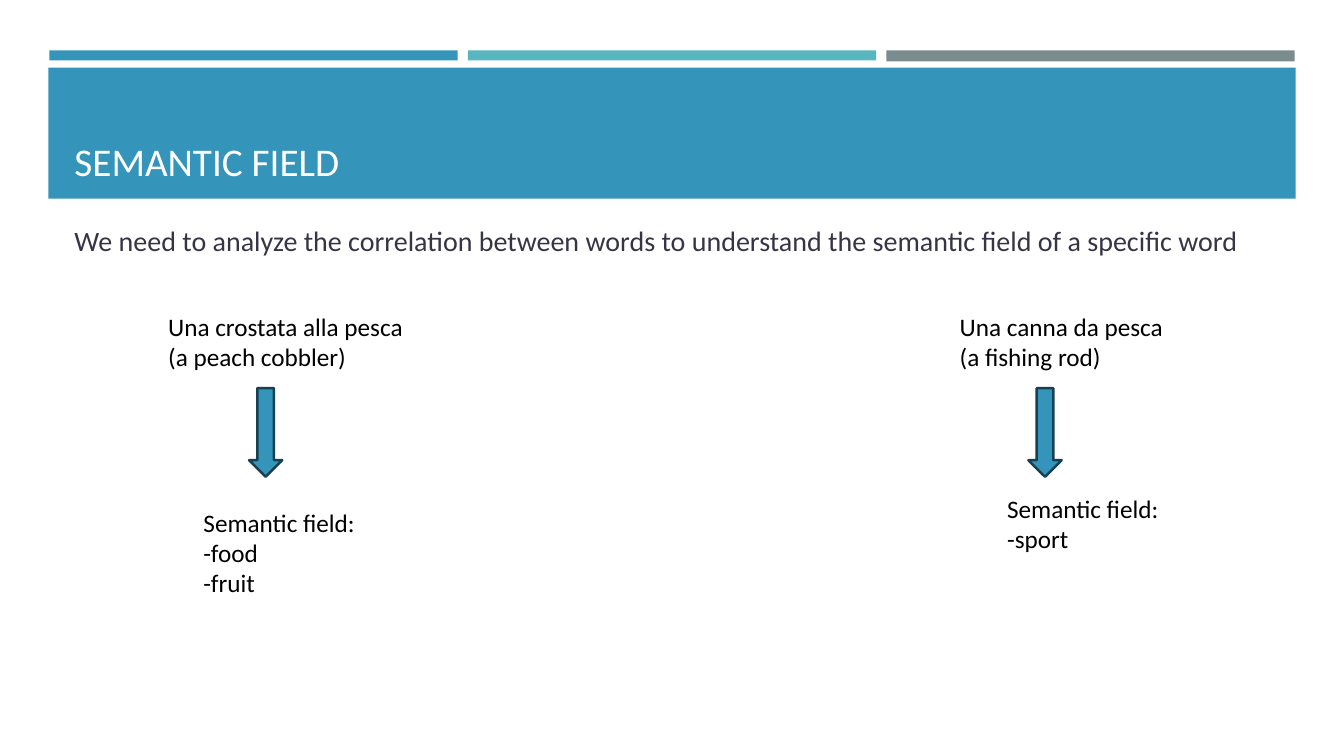
from pptx import Presentation
from pptx.dml.color import RGBColor
from pptx.enum.shapes import MSO_SHAPE
from pptx.enum.text import MSO_ANCHOR
from pptx.util import Inches, Pt

RECTANGLE, DOWN_ARROW = MSO_SHAPE.RECTANGLE, MSO_SHAPE.DOWN_ARROW
TOP, MIDDLE, BOTTOM = MSO_ANCHOR.TOP, MSO_ANCHOR.MIDDLE, MSO_ANCHOR.BOTTOM

BLUE = RGBColor(0x34, 0x94, 0xBA)
TEAL = RGBColor(0x58, 0xB6, 0xC0)
GRAY = RGBColor(0x7A, 0x8C, 0x8E)
NAVY = RGBColor(0x17, 0x41, 0x52)
INK = RGBColor(0x37, 0x35, 0x45)
BLACK = RGBColor(0, 0, 0)
WHITE = RGBColor(0xFF, 0xFF, 0xFF)
FONT = "Calibri"

# Content; areas are left, top, width, height in inches
TITLE = "SEMANTIC FIELD"
STATEMENT = ("We need to analyze the correlation between words "
             "to understand the semantic field of a specific word")
EXAMPLES = [
    {"phrase": ["Una crostata alla pesca", "(a peach cobbler)"],
     "phrase_area": (1.57, 3.04, 5.1, 0.71),
     "arrow_left": 2.47,
     "field": ["Semantic field:", "-food", "-fruit"],
     "field_area": (1.92, 4.98, 3.1, 1.01)},
    {"phrase": ["Una canna da pesca", "(a fishing rod)"],
     "phrase_area": (9.42, 3.04, 2.97, 0.71),
     "arrow_left": 10.2,
     "field": ["Semantic field:", "-sport"],
     "field_area": (9.89, 4.84, 3.1, 0.71)},
]
STRIPES = [(BLUE, 0.1), (TEAL, 0.1), (GRAY, 0.11)]  # colour, height
STRIPE_LEFT, STRIPE_TOP, STRIPE_WIDTH, STRIPE_GAP = 0.49, 0.5, 4.05, 0.1
BANNER_AREA = (0.48, 0.67, 12.37, 1.3)
ARROW_TOP, ARROW_WIDTH, ARROW_HEIGHT = 3.85, 0.33, 0.88

deck = Presentation()
deck.slide_width, deck.slide_height = Inches(13.33), Inches(7.5)
page = deck.slides.add_slide(deck.slide_layouts[6])


def add_filled(kind, area, fill, outline=None):
    shape = page.shapes.add_shape(kind, *map(Inches, area))
    shape.shadow.inherit = False
    shape.fill.solid()
    shape.fill.fore_color.rgb = fill
    if outline is None:
        shape.line.fill.background()
    else:
        shape.line.color.rgb = outline
        shape.line.width = Pt(1.75)


def add_text(lines, area, size=18, color=BLACK, anchor=TOP):
    box = page.shapes.add_textbox(*map(Inches, area))
    frame = box.text_frame
    frame.word_wrap = True
    frame.vertical_anchor = anchor
    for index, line in enumerate(lines):
        para = frame.add_paragraph() if index else frame.paragraphs[0]
        span = para.add_run()
        span.text = line
        span.font.name = FONT
        span.font.size = Pt(size)
        span.font.color.rgb = color
    return frame


# Stripes and banner
for index, (color, height) in enumerate(STRIPES):
    left = STRIPE_LEFT + index * (STRIPE_WIDTH + STRIPE_GAP)
    add_filled(RECTANGLE, (left, STRIPE_TOP, STRIPE_WIDTH, height), color)
add_filled(RECTANGLE, BANNER_AREA, BLUE)

# Title and statement
add_text([TITLE], (0.64, 0.77, 12.06, 1.11), 28, WHITE, BOTTOM)
statement = add_text([STATEMENT], (0.64, 1.83, 12.35, 1.11), 20, INK, MIDDLE)
statement.paragraphs[0].space_before = Pt(4)
statement.paragraphs[0].space_after = Pt(6)

# Each phrase points down to its semantic field
for example in EXAMPLES:
    add_text(example["phrase"], example["phrase_area"])
    arrow_area = (example["arrow_left"], ARROW_TOP, ARROW_WIDTH, ARROW_HEIGHT)
    add_filled(DOWN_ARROW, arrow_area, BLUE, NAVY)
    add_text(example["field"], example["field_area"])

deck.save("out.pptx")
